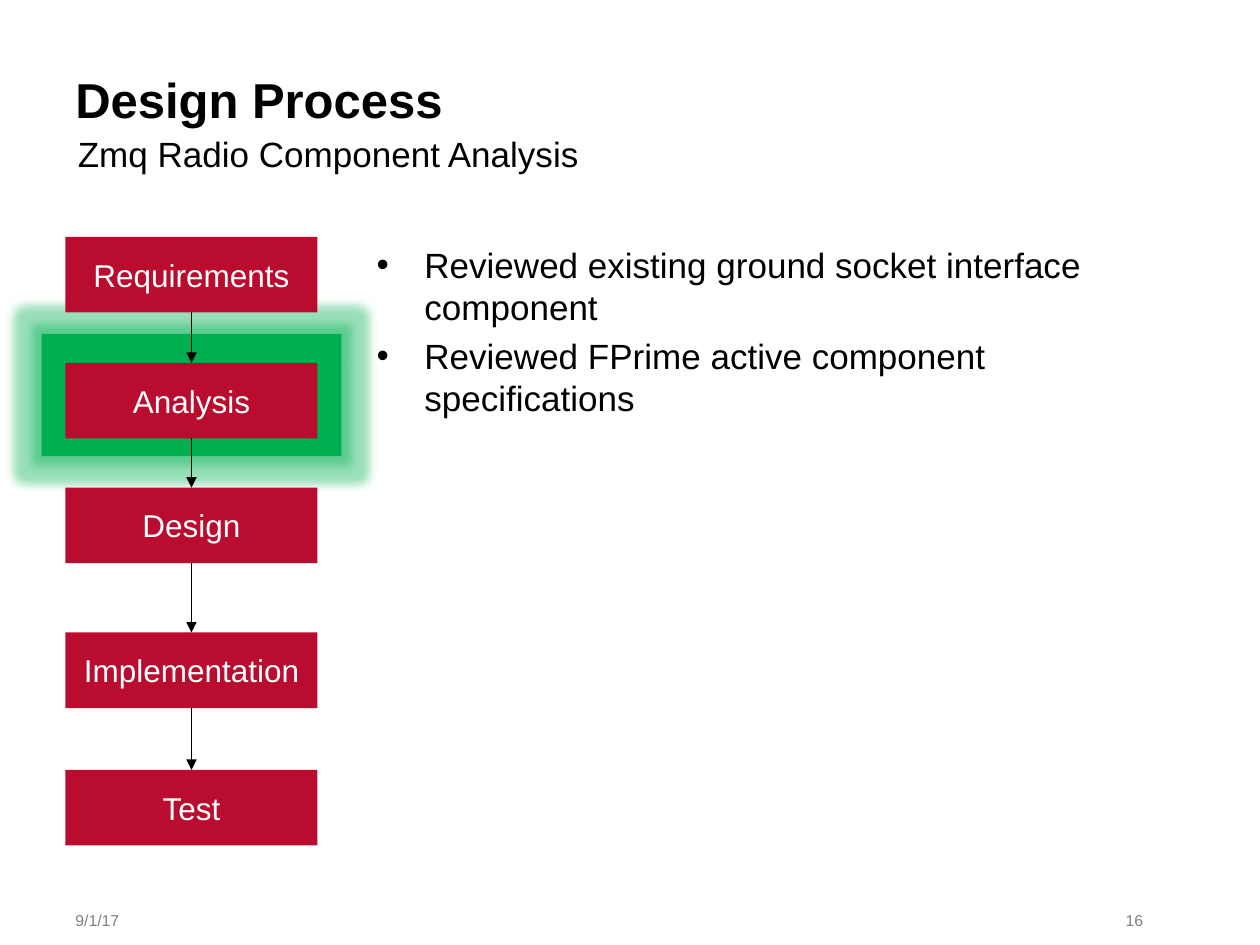
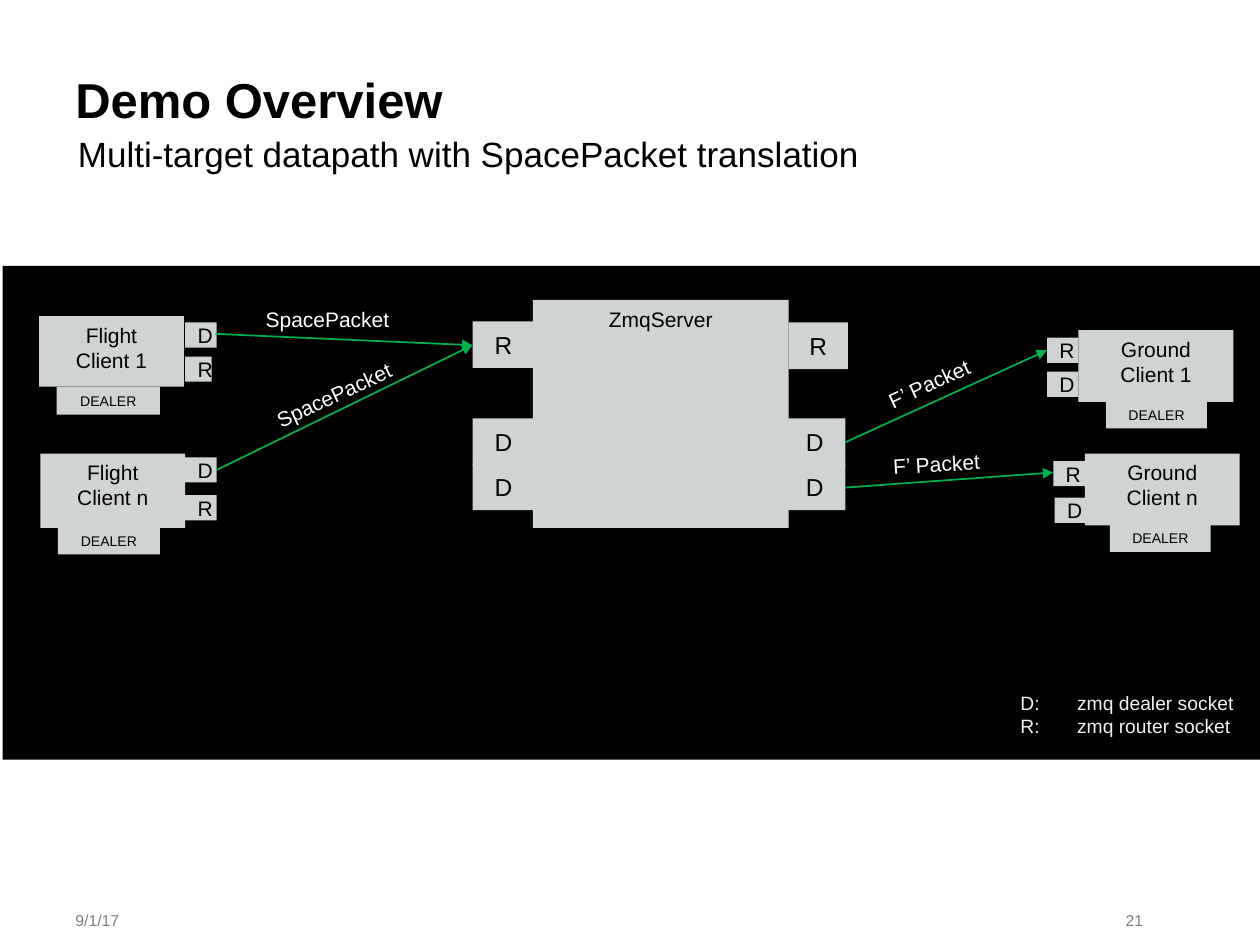
"""Build the design process and demo overview slides."""
from itertools import pairwise

from lxml.etree import SubElement
from pptx import Presentation
from pptx.dml.color import RGBColor
from pptx.enum.shapes import MSO_CONNECTOR, MSO_SHAPE
from pptx.enum.text import MSO_ANCHOR, PP_ALIGN
from pptx.oxml.ns import qn
from pptx.util import Pt

PX = 9144
COLORS = {
    "black": "000000", "white": "FFFFFF", "pale": "F2F2F2", "footer": "808080",
    "red": "BA0C2F", "green": "00B050", "grey": "D0D3D4",
}
TITLE = {"size": Pt(28), "bold": True}
BODY = {"size": Pt(20)}
SMALL = {"size": Pt(9)}
STEP = {"size": Pt(18)}
CLIENT = {"size": Pt(12)}
SERVER = {"size": Pt(14)}
DEALER = {"size": Pt(8)}
LEGEND = {"size": Pt(11)}
MIDDLE = MSO_ANCHOR.MIDDLE
CENTER = PP_ALIGN.CENTER


def add_box(s, at, text="", font=BODY, color="black", fill=None,
            anchor=MSO_ANCHOR.TOP, align=PP_ALIGN.LEFT, before=0, wrap=True):
    x, y, w, h = [v * PX for v in at]
    if fill:
        sp = s.shapes.add_shape(MSO_SHAPE.RECTANGLE, x, y, w, h)
        sp.shadow.inherit = False
        sp.fill.solid()
        sp.fill.fore_color.rgb = RGBColor.from_string(COLORS[fill])
        sp.line.fill.background()
    else:
        sp = s.shapes.add_textbox(x, y, w, h)
    tf = sp.text_frame
    tf.word_wrap = wrap
    tf.vertical_anchor = anchor
    tf.text = text
    for p in tf.paragraphs:
        p.alignment = align
        p.space_before = Pt(before)
        for r in p.runs:
            r.font.name = "Arial"
            r.font.color.rgb = RGBColor.from_string(COLORS[color])
            for name, value in font.items():
                setattr(r.font, name, value)
    return sp


def add_arrow(s, ends, color):
    cn = s.shapes.add_connector(MSO_CONNECTOR.STRAIGHT, *[v * PX for v in ends])
    cn.line.color.rgb = RGBColor.from_string(COLORS[color])
    cn.line.width = Pt(1)
    SubElement(cn.line._get_or_add_ln(), qn("a:tailEnd"), type="triangle")
    SubElement(cn._element.spPr, qn("a:effectLst"))


prs = Presentation()
prs.slide_width, prs.slide_height = 1000 * PX, 750 * PX

slides = []
for title, subtitle, number, band, band_fill in [
    ("Design Process", "Zmq Radio Component Analysis", "16",
     (33, 265, 238, 97), "green"),
    ("Demo Overview", "Multi-target datapath with SpacePacket translation", "21",
     (2, 211, 998, 392), "black"),
]:
    s = prs.slides.add_slide(prs.slide_layouts[6])
    sp = add_box(s, band, fill=band_fill)
    if band_fill == "green":
        glow = SubElement(sp._element.spPr.find(qn("a:effectLst")), qn("a:glow"), rad="139700")
        clr = SubElement(glow, qn("a:srgbClr"), val=COLORS["green"])
        SubElement(clr, qn("a:alpha"), val="40000")
    add_box(s, (52, 100, 900, 36), subtitle, before=4)
    add_box(s, (50, 50, 900, 48), title, TITLE)
    add_box(s, (50, 710, 151, 40), "9/1/17", SMALL, "footer", anchor=MIDDLE)
    add_box(s, (800, 710, 117, 40), number, SMALL, "footer",
            anchor=MIDDLE, align=PP_ALIGN.RIGHT)
    slides.append(s)
process, demo = slides

steps = {"Requirements": 188, "Analysis": 288, "Design": 387,
         "Implementation": 502, "Test": 611}
for name, y in steps.items():
    add_box(process, (52, y, 200, 60), name, STEP, "white", "red", MIDDLE, CENTER)
for y, next_y in pairwise(steps.values()):
    add_arrow(process, (152, y + 60, 152, next_y), "black")

sp = add_box(process, (289, 188, 674, 483),
             "Reviewed existing ground socket interface component\n"
             "Reviewed FPrime active component specifications", before=4)
for p in sp.text_frame.paragraphs:
    pPr = p._p.get_or_add_pPr()
    pPr.set("marL", str(38 * PX))
    pPr.set("indent", str(-38 * PX))
    SubElement(pPr, qn("a:buFont"), typeface="Arial")
    SubElement(pPr, qn("a:buChar"), char="•")

for client, at, dealer, sockets in [
    ("Ground\nClient 1", (856, 262, 123, 57), (878, 318, 80),
     [("R", 831, 268, 25), ("D", 831, 295, 25)]),
    ("Ground\nClient n", (861, 360, 123, 57), (881, 416, 80),
     [("R", 836, 366, 25), ("D", 837, 395, 25)]),
    ("Flight\nClient 1", (31, 251, 115, 56), (45, 307, 82),
     [("R", 147, 283, 21), ("D", 147, 256, 25)]),
    ("Flight\nClient n", (32, 360, 115, 59), (46, 418, 81),
     [("R", 147, 393, 25), ("D", 147, 363, 25)]),
]:
    add_box(demo, at, client, CLIENT, fill="grey", align=CENTER)
    for name, x, y, w in sockets:
        add_box(demo, (x, y, w, 20), name, CLIENT, "black", "grey", MIDDLE, CENTER)
    x, y, w = dealer
    add_box(demo, (x, y, w, 22), "DEALER", DEALER, "black", "grey", MIDDLE, CENTER)

add_box(demo, (423, 238, 203, 181), "ZmqServer", CLIENT, fill="grey", align=CENTER)
for name, x, y, w in [
    ("R", 375, 255, 49), ("R", 626, 256, 47),
    ("D", 375, 332, 49), ("D", 375, 368, 49),
    ("D", 622, 332, 49), ("D", 622, 368, 49),
]:
    add_box(demo, (x, y, w, 37), name, SERVER, "black", "grey", MIDDLE, CENTER)

for ends, label, at, angle in [
    ((171, 265, 375, 274), "SpacePacket", (201, 238, 119, 30), 0),
    ((172, 373, 375, 274), "SpacePacket", (206, 298, 119, 30), 335),
    ((671, 351, 831, 278), "F’ Packet", (693, 289, 90, 30), 335),
    ((671, 387, 836, 375), "F’ Packet", (699, 353, 90, 30), 356.6),
]:
    add_arrow(demo, ends, "green")
    sp = add_box(demo, at, label, CLIENT, "white", wrap=False)
    sp.rotation = angle

sp = add_box(demo, (800, 544, 190, 66), "D:\tzmq dealer socket\nR:\tzmq router socket",
             LEGEND, "pale", wrap=False)
for p in sp.text_frame.paragraphs:
    tabs = SubElement(p._p.get_or_add_pPr(), qn("a:tabLst"))
    SubElement(tabs, qn("a:tab"), pos=str(45 * PX), algn="l")

prs.save("out.pptx")
